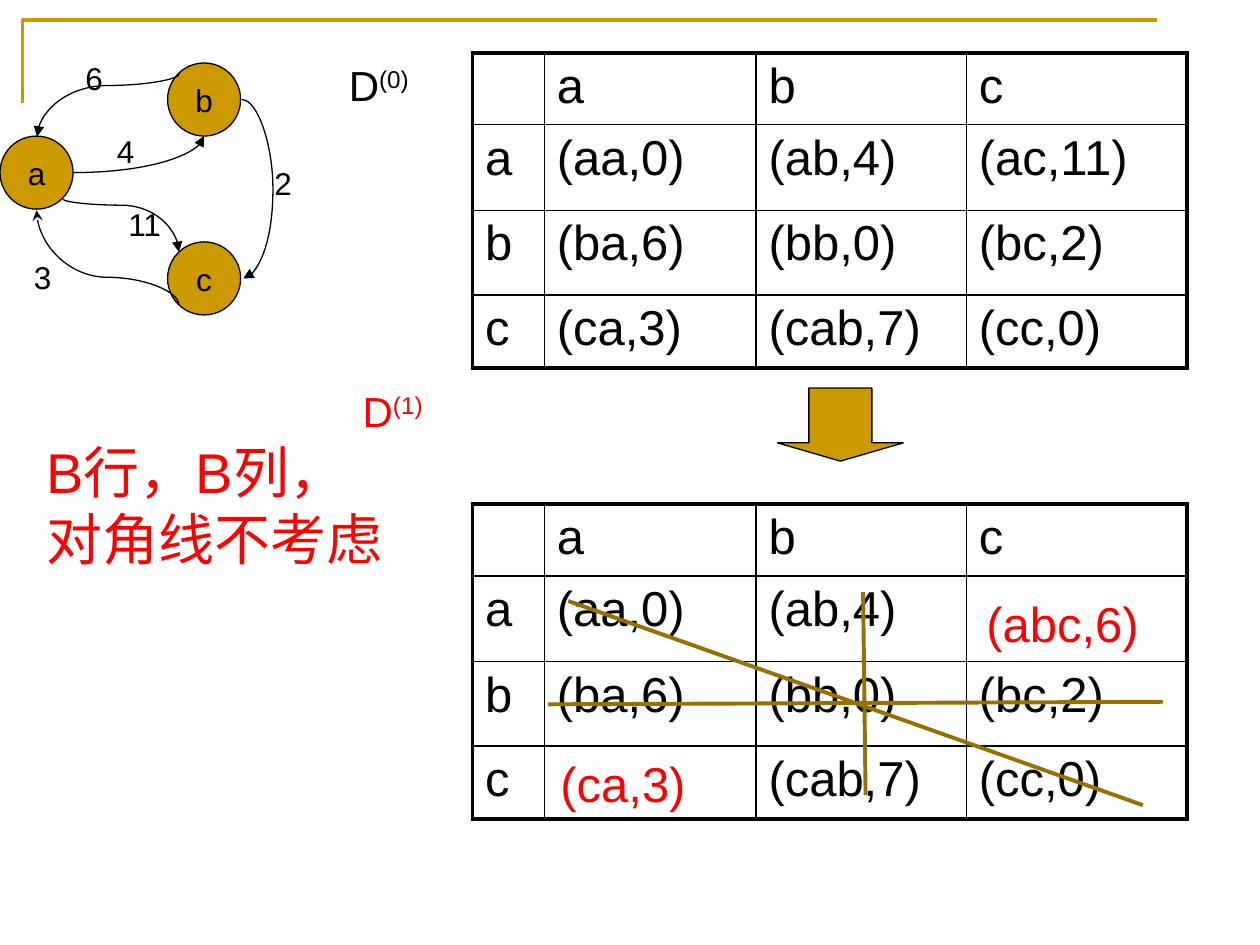
from lxml.etree import SubElement
from pptx import Presentation
from pptx.dml.color import RGBColor
from pptx.enum.shapes import MSO_CONNECTOR, MSO_SHAPE
from pptx.enum.text import MSO_ANCHOR, PP_ALIGN
from pptx.oxml import parse_xml
from pptx.oxml.ns import nsdecls, qn
from pptx.util import Inches, Pt

BLACK, RED, GOLD, BROWN = "000000", "FF0000", "CC9900", "977100"
COLUMN_WIDTHS = (0.57, 1.68, 1.67, 1.75)
ROW_HEIGHTS = (0.57, 0.68, 0.67, 0.58)


def color(value):
    """Turn a hex string into a colour."""
    return RGBColor.from_string(value)


def format_runs(para, size, ink):
    """Apply one font, size and colour to every run of a paragraph."""
    for span in para.runs:
        span.font.name = "Arial"
        span.font.size = Pt(size)
        span.font.color.rgb = color(ink)


def add_text(page, text, left, top, width, height, size, ink=BLACK, superscript=""):
    """Add a wrapping text box, with an optional raised ending."""
    box = page.shapes.add_textbox(Inches(left), Inches(top), Inches(width), Inches(height))
    box.text_frame.word_wrap = True
    para = box.text_frame.paragraphs[0]
    para.text = text
    if superscript:
        span = para.add_run()
        span.text = superscript
        span._r.get_or_add_rPr().set("baseline", "30000")
    format_runs(para, size, ink)


def add_gold_shape(page, kind, left, top, width, height):
    """Add a gold preset shape with a thin black outline."""
    shape = page.shapes.add_shape(kind, Inches(left), Inches(top), Inches(width), Inches(height))
    shape.shadow.inherit = False
    shape.fill.solid()
    shape.fill.fore_color.rgb = color(GOLD)
    shape.line.color.rgb = color(BLACK)
    shape.line.width = Pt(0.75)
    return shape


def add_node(page, name, left, top):
    """Add a round graph node with its name."""
    node = add_gold_shape(page, MSO_SHAPE.OVAL, left, top, 0.58, 0.58)
    frame = node.text_frame
    frame.word_wrap = False
    frame.vertical_anchor = MSO_ANCHOR.MIDDLE
    frame.text = name
    frame.paragraphs[0].alignment = PP_ALIGN.CENTER
    format_runs(frame.paragraphs[0], 18, BLACK)


def add_line(page, kind, start, end, ink, width):
    """Add a connector without a shadow."""
    line = page.shapes.add_connector(kind, *map(Inches, start + end))
    line.line.color.rgb = color(ink)
    line.line.width = Pt(width)
    SubElement(line._element.spPr, qn("a:effectLst"))
    return line


def add_edge(page, left, top, width, height, preset, rotation=0, flips="", bend=None,
             end="tailEnd", arrow="triangle"):
    """Add a curved graph edge, given by its unrotated frame."""
    edge = add_line(page, MSO_CONNECTOR.CURVE, (left, top), (left + width, top + height), BLACK, 0.75)
    properties = edge._element.spPr
    frame = properties.find(qn("a:xfrm"))
    frame.set("rot", str(rotation * 60000))
    for axis in flips:
        frame.set("flip" + axis, "1")
    geometry = properties.find(qn("a:prstGeom"))
    geometry.set("prst", preset)
    if bend is not None:
        guides = geometry.find(qn("a:avLst"))
        if guides is None:
            guides = SubElement(geometry, qn("a:avLst"))
        SubElement(guides, qn("a:gd"), name="adj1", fmla=f"val {round(bend * 100000)}")
    SubElement(properties.find(qn("a:ln")), qn("a:" + end), type=arrow)


def set_borders(cell, widths):
    """Draw the left, right, top and bottom borders of a cell."""
    properties = cell._tc.get_or_add_tcPr()
    for position, (side, width) in enumerate(zip("LRTB", widths)):
        properties.insert(position, parse_xml(
            f'<a:ln{side} {nsdecls("a")} w="{Pt(width)}"><a:solidFill>'
            f'<a:srgbClr val="{BLACK}"/></a:solidFill></a:ln{side}>'))


def add_matrix(page, top, rows):
    """Add a distance matrix with a thick outer border."""
    frame = page.shapes.add_table(4, 4, Inches(3.75), Inches(top), Inches(5.67), Inches(2.5))
    table = frame.table
    table.first_row = table.horz_banding = False
    for column, width in zip(table.columns, COLUMN_WIDTHS):
        column.width = Inches(width)
    for row, height in zip(table.rows, ROW_HEIGHTS):
        row.height = Inches(height)
    for i, row in enumerate(rows):
        for j, text in enumerate(row):
            cell = table.cell(i, j)
            cell.fill.background()
            if text:
                cell.text_frame.text = text
                format_runs(cell.text_frame.paragraphs[0], 28, BLACK)
            set_borders(cell, [2.25 if outer else 1 for outer in (j == 0, j == 3, i == 0, i == 3)])


def add_corner_rule(page):
    """Add the gold rule along the top left corner."""
    builder = page.shapes.build_freeform(Inches(0.18), Inches(0.82))
    builder.add_line_segments([(Inches(0.18), Inches(0.16)), (Inches(9.18), Inches(0.16))], close=False)
    rule = builder.convert_to_shape()
    rule.shadow.inherit = False
    rule.fill.background()
    rule.line.color.rgb = color(GOLD)
    rule.line.width = Pt(2)


def add_graph(page):
    """Add the weighted graph of nodes a, b and c."""
    for name, left, top in (("a", 0, 1.08), ("b", 1.33, 0.5), ("c", 1.33, 1.92)):
        add_node(page, name, left, top)
    add_edge(page, 0.58, 1.08, 1.04, 0.29, "curvedConnector2", flips="V")
    add_edge(page, 0.61, 0.27, 0.5, 1.13, "curvedConnector3", 270, "HV", 0.188)
    add_edge(page, 0.75, 1.33, 0.42, 0.92, "curvedConnector3", 270, "H", 0.116)
    add_edge(page, 0.48, 1.48, 0.75, 1.13, "curvedConnector3", 270, "H", 0.708, "headEnd", "stealth")
    add_edge(page, 1.92, 0.79, 0.01, 1.42, "curvedConnector3", bend=25)
    weights = (("11", 0.92, 1.58), ("6", 0.58, 0.42), ("4", 0.83, 1), ("2", 2.08, 1.25), ("3", 0.17, 2))
    for weight, left, top in weights:
        add_text(page, weight, left, top, 0.5, 0.4, 18)


def main():
    """Build the slide and save it."""
    deck = Presentation()
    deck.slide_width, deck.slide_height = Inches(10), Inches(7.5)
    page = deck.slides.add_slide(deck.slide_layouts[6])
    add_corner_rule(page)
    add_graph(page)

    header = ("", "a", "b", "c")
    row_b = ("b", "(ba,6)", "(bb,0)", "(bc,2)")
    add_matrix(page, 4, (header, ("a", "(aa,0)", "(ab,4)", ""), row_b, ("c", "", "(cab,7)", "(cc,0)")))
    add_text(page, "D", 2.78, 3.01, 1, 0.5, 24, RED, "(1)")
    add_gold_shape(page, MSO_SHAPE.DOWN_ARROW, 6.17, 3.08, 1, 0.58).adjustments[1] = 0.25
    add_matrix(page, 0.42, (header, ("a", "(aa,0)", "(ab,4)", "(ac,11)"), row_b,
                            ("c", "(ca,3)", "(cab,7)", "(cc,0)")))
    add_text(page, "D", 2.67, 0.42, 1, 0.5, 24, BLACK, "(0)")
    add_text(page, "B行，B列，对角线不考虑", 0.27, 3.42, 3, 1.18, 32, RED)

    strikes = (((4.35, 5.59), (9.23, 5.57)), ((4.51, 4.77), (9.07, 6.39)), ((6.85, 4.7), (6.87, 6.31)))
    for start, end in strikes:
        add_line(page, MSO_CONNECTOR.STRAIGHT, start, end, BROWN, 2.25)
    add_text(page, "(abc,6)", 7.73, 4.66, 1.6, 0.57, 28, RED)
    add_text(page, "(ca,3)", 4.35, 5.93, 1.6, 0.57, 28, RED)
    deck.save("out.pptx")


if __name__ == "__main__":
    main()
